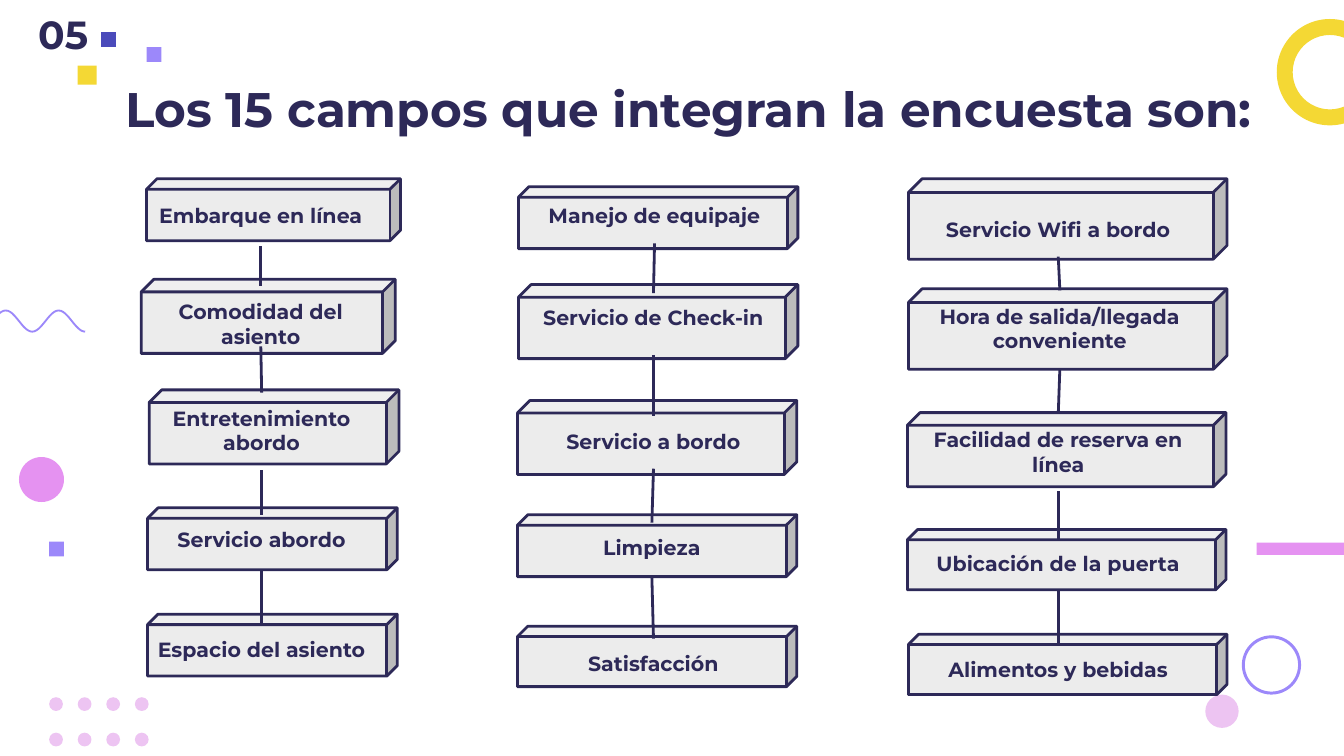
from dataclasses import dataclass
from itertools import pairwise, product
from math import cos, pi

from lxml.etree import SubElement
from pptx import Presentation
from pptx.dml.color import RGBColor
from pptx.enum.shapes import MSO_CONNECTOR, MSO_SHAPE
from pptx.enum.text import MSO_ANCHOR, PP_ALIGN
from pptx.oxml.ns import qn
from pptx.util import Cm, Pt


@dataclass(frozen=True)
class Theme:
    font: str = "Montserrat"
    ink: str = "2D2958"
    block: str = "ECECEC"
    yellow: str = "F4D834"
    violet: str = "9C88FA"
    indigo: str = "4B4BBB"
    pink: str = "E592F1"
    pale_pink: str = "EDC4F2"
    title_size: float = 26
    number_size: float = 21
    label_size: float = 11
    line_width: float = 1.5
    wave_width: float = 1


class SlideBuilder:
    def __init__(self, page, theme):
        self.page = page
        self.theme = theme

    def outline(self, line, color, width):
        line.color.rgb = RGBColor.from_string(color)
        line.width = Pt(width)

    def shape(self, kind, place, color, adjust=None, outlined=False):
        shape = self.page.shapes.add_shape(kind, *map(Cm, place))
        shape.shadow.inherit = False
        shape.fill.solid()
        shape.fill.fore_color.rgb = RGBColor.from_string(color)
        if adjust is not None:
            shape.adjustments[0] = adjust
        if outlined:
            self.outline(shape.line, self.theme.ink, self.theme.line_width)
            SubElement(shape.line._get_or_add_ln(), qn("a:round"))
        else:
            shape.line.fill.background()
        return shape

    def text(self, words, place, size, anchor=MSO_ANCHOR.TOP):
        box = self.page.shapes.add_textbox(*map(Cm, place))
        inset = Cm(0.25)
        frame_format = {
            "word_wrap": True,
            "vertical_anchor": anchor,
            "margin_left": inset,
            "margin_right": inset,
            "margin_top": inset,
            "margin_bottom": inset,
        }
        for name, value in frame_format.items():
            setattr(box.text_frame, name, value)
        para = box.text_frame.paragraphs[0]
        para.alignment = PP_ALIGN.CENTER
        span = para.add_run()
        span.text = words
        font_format = {"name": self.theme.font, "size": Pt(size), "bold": True}
        for name, value in font_format.items():
            setattr(span.font, name, value)
        span.font.color.rgb = RGBColor.from_string(self.theme.ink)
        return box

    def link(self, upper, lower):
        connector = self.page.shapes.add_connector(MSO_CONNECTOR.STRAIGHT, 0, 0, 0, 0)
        connector.begin_connect(upper, 2)
        connector.end_connect(lower, 0)
        self.outline(connector.line, self.theme.ink, self.theme.line_width)
        SubElement(connector._element.spPr, qn("a:effectLst"))

    def wave(self, left, middle, height, period, turns):
        steps = 24
        points = [
            (Cm(left + period * i / steps), Cm(middle - height * cos(2 * pi * i / steps)))
            for i in range(int(turns * steps) + 1)
        ]
        pen = self.page.shapes.build_freeform(*points[0])
        pen.add_line_segments(points[1:], close=False)
        curve = pen.convert_to_shape()
        curve.shadow.inherit = False
        curve.fill.background()
        self.outline(curve.line, self.theme.violet, self.theme.wave_width)

    def chain(self, fields):
        for _, block, _ in fields:
            self.shape(MSO_SHAPE.CUBE, block, self.theme.block, 0.17, outlined=True)
        labels = [self.text(words, place, self.theme.label_size) for words, _, place in fields]
        for upper, lower in pairwise(labels):
            self.link(upper, lower)


# Each field: wording, block and label as left, top, width, height
COLUMNS = [
    [
        ("Embarque en línea", (2.77, 3.38, 4.8, 1.17), (2.67, 3.61, 4.52, 1.04)),
        ("Comodidad del asiento", (2.67, 5.28, 4.8, 1.4), (2.67, 5.41, 4.52, 1.14)),
        ("Entretenimiento abordo", (2.82, 7.37, 4.72, 1.4), (2.62, 7.42, 4.65, 1.47)),
        ("Servicio abordo", (2.79, 9.6, 4.72, 1.17), (2.72, 9.73, 4.45, 1.04)),
        ("Espacio del asiento", (2.79, 11.61, 4.72, 1.17), (2.72, 11.81, 4.45, 1.04)),
    ],
    [
        ("Manejo de equipaje", (9.8, 3.53, 5.28, 1.17), (9.88, 3.61, 4.98, 0.99)),
        ("Servicio de Check-in", (9.8, 5.38, 5.28, 1.4), (9.86, 5.54, 4.98, 1.17)),
        ("Servicio a bordo", (9.78, 7.57, 5.28, 1.4), (9.86, 7.87, 4.98, 0.99)),
        ("Limpieza", (9.78, 9.73, 5.28, 1.17), (9.83, 9.88, 4.98, 1.04)),
        ("Satisfacción", (9.78, 11.84, 5.28, 1.14), (9.86, 12.07, 4.98, 0.99)),
    ],
    [
        ("Servicio Wifi a bordo", (17.17, 3.38, 6.02, 1.52), (17.17, 3.86, 5.66, 0.99)),
        ("Hora de salida/llegada conveniente", (17.17, 5.46, 6.02, 1.52), (17.2, 5.49, 5.66, 1.48)),
        ("Facilidad de reserva en línea", (17.15, 7.8, 6.02, 1.4), (17.17, 7.82, 5.66, 1.47)),
        ("Ubicación de la puerta", (17.15, 10.01, 6.02, 1.14), (17.17, 10.19, 5.66, 0.99)),
        ("Alimentos y bebidas", (17.17, 11.99, 6.02, 1.14), (17.17, 12.19, 5.66, 0.99)),
    ],
]


def main():
    deck = Presentation()
    deck.slide_width, deck.slide_height = Cm(25.4), Cm(14.29)
    theme = Theme()
    slide = SlideBuilder(deck.slides.add_slide(deck.slide_layouts[6]), theme)

    # Dot grid and wave
    for row, column in product(range(2), range(4)):
        dot = (0.93 + 0.54 * column, 13.18 + 0.67 * row, 0.26, 0.26)
        slide.shape(MSO_SHAPE.OVAL, dot, theme.pale_pink)
    slide.wave(left=-0.89, middle=6.07, height=0.2, period=1, turns=2.5)

    # Rings, discs, bar and squares
    ornaments = [
        (MSO_SHAPE.DONUT, (24.13, 0.36, 2.01, 2.01), theme.yellow, 0.15),
        (MSO_SHAPE.DONUT, (23.47, 12.01, 1.12, 1.12), theme.violet, 0.05),
        (MSO_SHAPE.OVAL, (0.36, 8.64, 0.85, 0.85), theme.pink),
        (MSO_SHAPE.OVAL, (22.78, 13.13, 0.63, 0.63), theme.pale_pink),
        (MSO_SHAPE.RECTANGLE, (23.75, 10.26, 2.24, 0.23), theme.pink),
        (MSO_SHAPE.RECTANGLE, (1.47, 1.24, 0.36, 0.36), theme.yellow),
        (MSO_SHAPE.RECTANGLE, (2.77, 0.89, 0.28, 0.28), theme.violet),
        (MSO_SHAPE.RECTANGLE, (1.91, 0.61, 0.28, 0.28), theme.indigo),
        (MSO_SHAPE.RECTANGLE, (0.93, 10.24, 0.28, 0.28), theme.violet),
    ]
    for ornament in ornaments:
        slide.shape(*ornament)

    # Title and section number
    slide.text("Los 15 campos que integran la encuesta son:", (1.75, 1.24, 22.56, 1.6),
               theme.title_size, MSO_ANCHOR.MIDDLE)
    slide.text("05", (0, 0, 2.39, 1.27), theme.number_size, MSO_ANCHOR.MIDDLE)

    # Three chains of survey fields
    for fields in COLUMNS:
        slide.chain(fields)

    deck.save("out.pptx")


if __name__ == "__main__":
    main()
